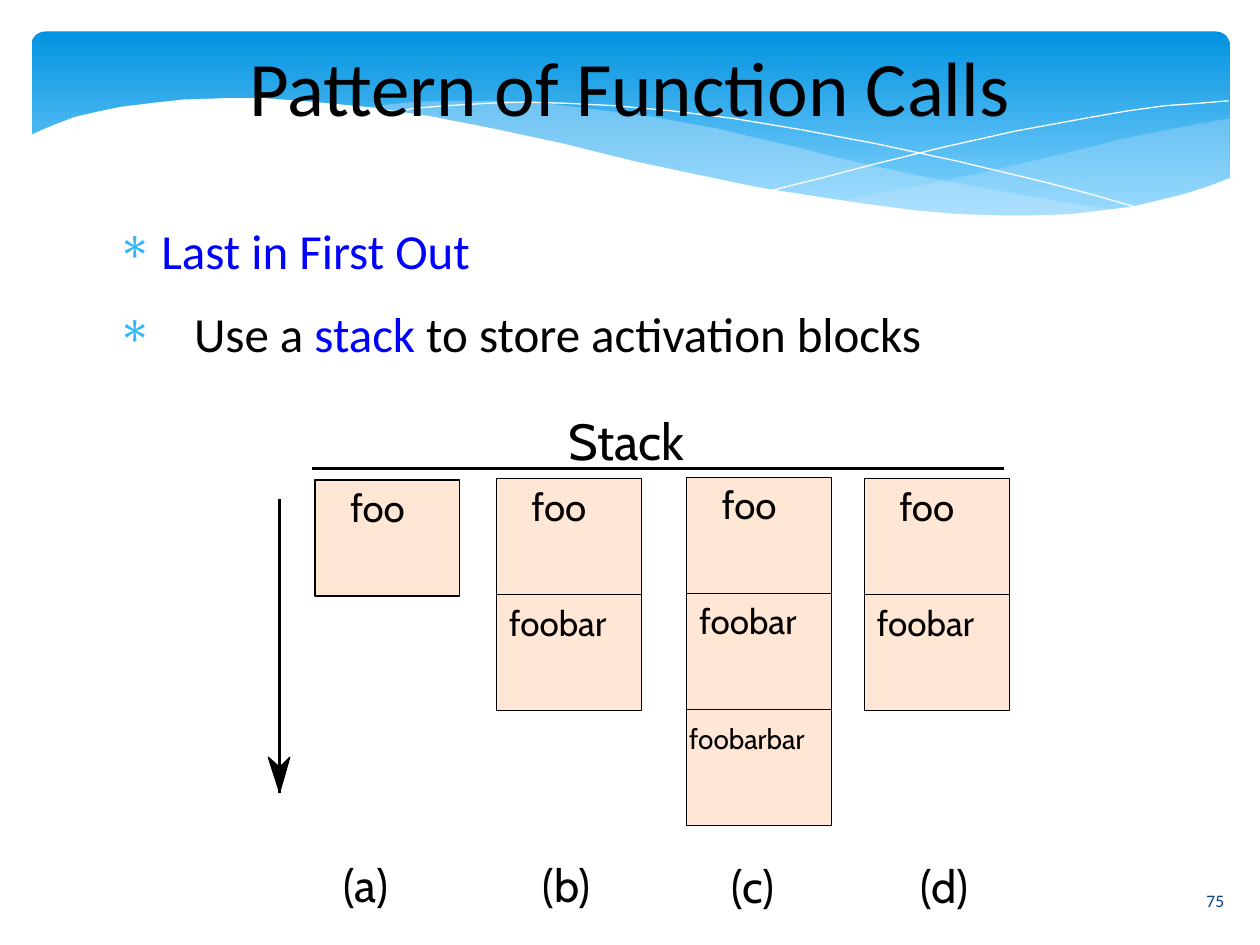
import pptx
import pptx.dml.color
import pptx.enum.shapes
import pptx.enum.text
import pptx.oxml
import pptx.oxml.ns
import pptx.util
from lxml import etree

RGB = pptx.dml.color.RGBColor
ALIGN = pptx.enum.text.PP_ALIGN
ANCHOR = pptx.enum.text.MSO_ANCHOR
KIND = pptx.enum.shapes.MSO_SHAPE
qn = pptx.oxml.ns.qn

PX = 9144  # 100 px to the inch
BLACK, WHITE = RGB(0, 0, 0), RGB(255, 255, 255)
BLUE, NAVY = RGB(0, 0, 255), RGB(0x07, 0x3E, 0x87)
SKY, PALE = RGB(0x02, 0x93, 0xE0), RGB(0x83, 0xD3, 0xFE)
MIST, PEACH = RGB(0xC6, 0xE7, 0xFC), RGB(0xFF, 0xE6, 0xD5)

# Content
TITLE = "Pattern of Function Calls"
POINTS = [  # text indent, coloured runs
    (47, [("Last in First Out", BLUE)]),
    (73, [("Use a ", BLACK), ("stack", BLUE),
          (" to store activation blocks", BLACK)]),
]
FRAMES = [  # name, text size, offset of the name in its block, name box
    ("foo", 22, (28, 3), (58, 43)),
    ("foobar", 20, (10, 5), (91, 37)),
    ("foobarbar", 16, (2, 10), (105, 30)),
]
STACKS = [  # label, label left and top, stack left and top, depth
    ("(a)", 273, 680, 250, 381, 1),
    ("(b)", 431, 680, 394, 380, 2),
    ("(c)", 581, 681, 545, 379, 3),
    ("(d)", 731, 681, 686, 380, 2),
]
BLOCK_W, BLOCK_H = 115, 92

# Banner curves
RIGHT_WAVE = [
    (976, 94), (948, 99), (921, 104), (891, 110), (861, 118), (805, 131),
    (753, 143), (706, 152), (661, 160), (691, 164), (719, 167), (745, 169),
    (769, 171), (792, 172), (824, 172), (854, 170), (881, 167), (905, 163),
    (928, 158), (949, 152), (963, 147), (976, 141)]
LEFT_WAVE = [
    (893, 167), (866, 164), (807, 154), (741, 142), (668, 126), (629, 116),
    (598, 109), (569, 102), (541, 97), (514, 92), (489, 89), (442, 83),
    (399, 80), (361, 80), (328, 81), (299, 84), (286, 86), (323, 90),
    (362, 97), (404, 106), (449, 116), (530, 135), (584, 146), (634, 156),
    (680, 163), (722, 168), (761, 171), (796, 173), (828, 173), (857, 171),
    (876, 169)]
FALL = [
    (309, 90), (328, 86), (353, 84), (387, 82), (416, 81), (450, 82),
    (489, 84), (533, 88), (582, 94), (636, 103), (695, 114), (760, 128),
    (831, 145), (869, 155), (907, 166)]
RISE = [
    (613, 151), (653, 141), (695, 130), (748, 117), (806, 104), (866, 93),
    (895, 88), (924, 84), (951, 82), (975, 80)]
MASK = [
    (977, 141), (959, 148), (940, 154), (920, 159), (899, 164), (875, 167),
    (850, 170), (823, 171), (793, 171), (761, 170), (726, 167), (688, 162),
    (648, 156), (603, 149), (555, 139), (503, 128), (447, 114), (391, 102),
    (340, 92), (292, 85), (250, 81), (211, 78), (177, 78), (146, 79),
    (119, 82), (95, 85), (76, 89), (59, 93), (46, 98), (36, 102), (25, 107),
    (23, 107), (23, 224), (977, 224)]
ARROW = [(222, 609), (213, 601), (222, 629), (230, 601)]

deck = pptx.Presentation()
deck.slide_width, deck.slide_height = 1000 * PX, 750 * PX
slide = deck.slides.add_slide(deck.slide_layouts[6])
shapes = slide.shapes


def paint(shape, fill=None, line=None, alpha=None):
    shape.shadow.inherit = False
    if fill is None:
        shape.fill.background()
    else:
        shape.fill.solid()
        shape.fill.fore_color.rgb = fill
    if alpha is not None:
        tint = shape.fill._xPr.find(".//" + qn("a:srgbClr"))
        etree.SubElement(tint, qn("a:alpha"), val=str(alpha * 1000))
    if line is None:
        shape.line.fill.background()
    else:
        shape.line.color.rgb = line
        shape.line.width = 0


def curve(dots, close=True, **look):
    pen = shapes.build_freeform(*dots[0], scale=PX)
    pen.add_line_segments(dots[1:], close=close)
    paint(pen.convert_to_shape(), **look)


def rule(*ends):
    line = shapes.add_connector(pptx.enum.shapes.MSO_CONNECTOR.STRAIGHT,
                                *(end * PX for end in ends))
    line.line.color.rgb = BLACK
    line.line.width = 0
    etree.SubElement(line._element.spPr, qn("a:effectLst"))


def style(run, size, color, font):
    run.font.size = pptx.util.Pt(size)
    run.font.color.rgb = color
    run.font.name = font


def frame(left, top, width, height, wrap=True, anchor=ANCHOR.TOP):
    box = shapes.add_textbox(left * PX, top * PX, width * PX, height * PX)
    text = box.text_frame
    text.margin_left = text.margin_right = 0
    text.margin_top = text.margin_bottom = 0
    text.word_wrap, text.vertical_anchor = wrap, anchor
    return text


def label(words, size, *place, color=BLACK, font="Cabin", mid=False):
    text = frame(*place, wrap=mid, anchor=ANCHOR.MIDDLE if mid else ANCHOR.TOP)
    text.text = words
    para = text.paragraphs[0]
    para.alignment = ALIGN.CENTER if mid else ALIGN.LEFT
    style(para.runs[0], size, color, font)


# Banner
band = shapes.add_shape(KIND.ROUNDED_RECTANGLE,
                        25 * PX, 25 * PX, 951 * PX, 156 * PX)
band.adjustments[0] = 0.07
paint(band)
band.fill.gradient()
band.fill.gradient_angle = 270
for stop, color, spot in zip(band.fill.gradient_stops, (SKY, PALE), (0, 0.9)):
    stop.color.rgb, stop.position = color, spot
curve(RIGHT_WAVE, fill=MIST, alpha=29)
curve(LEFT_WAVE, fill=MIST, alpha=40)
for dots in (FALL, RISE):
    curve(dots, close=False, line=WHITE)
curve(MASK, fill=WHITE)

# Title and slide number
label("75", 10, 934, 695, 61, 40, color=NAVY, font="Calibri", mid=True)
label(TITLE, 44, 25, 17, 950, 102, font="Calibri", mid=True)

# Bullet points
body = frame(81, 175, 811, 172)
for i, (indent, parts) in enumerate(POINTS):
    para = body.add_paragraph() if i else body.paragraphs[0]
    para.space_after = pptx.util.Pt(14.1)
    props = para._p.get_or_add_pPr()
    props.set("marL", str(indent * PX))
    props.set("indent", str((12 - indent) * PX))
    tint = etree.SubElement(props, qn("a:buClr"))
    etree.SubElement(tint, qn("a:srgbClr"), val="31B6FD")
    etree.SubElement(props, qn("a:buChar"), char="∗")
    for words, color in parts:
        run = para.add_run()
        run.text = words
        style(run, 28, color, "Calibri")

# Stack heading
rule(248, 372, 797, 372)
label("Stack", 29, 451, 325, 119, 54)

# Stacks of activation blocks
for name, x, y, left, top, depth in STACKS:
    for i, (call, size, (dx, dy), area) in enumerate(FRAMES[:depth]):
        row = top + i * BLOCK_H
        block = shapes.add_shape(KIND.RECTANGLE, left * PX, row * PX,
                                 BLOCK_W * PX, BLOCK_H * PX)
        paint(block, fill=PEACH, line=BLACK)
        label(call, size, left + dx, row + dy, *area)
    label(name, 26, x, y, 60, 48)

# Growth arrow
rule(222, 396, 222, 629)
curve(ARROW, fill=BLACK, line=BLACK)

deck.save("out.pptx")
